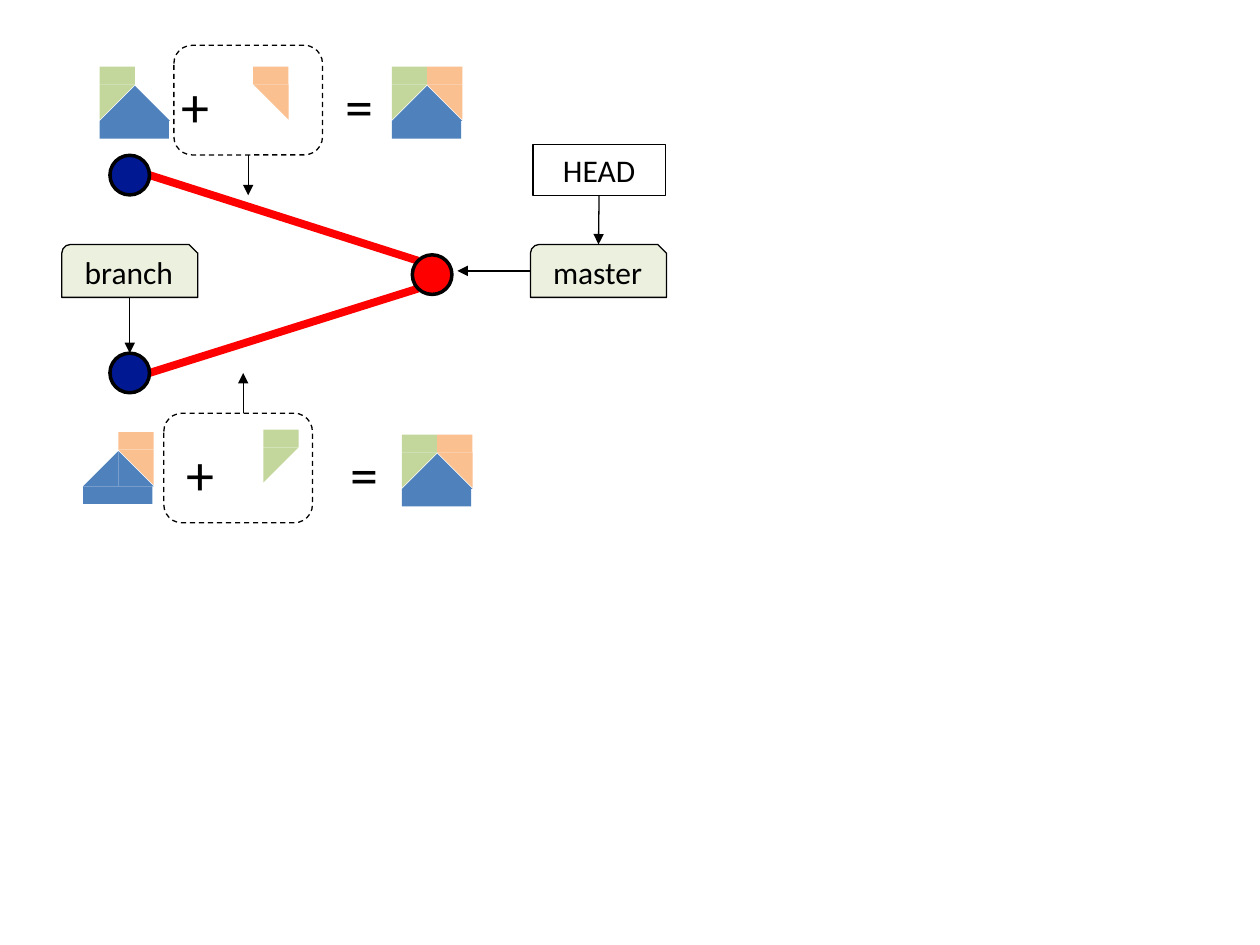
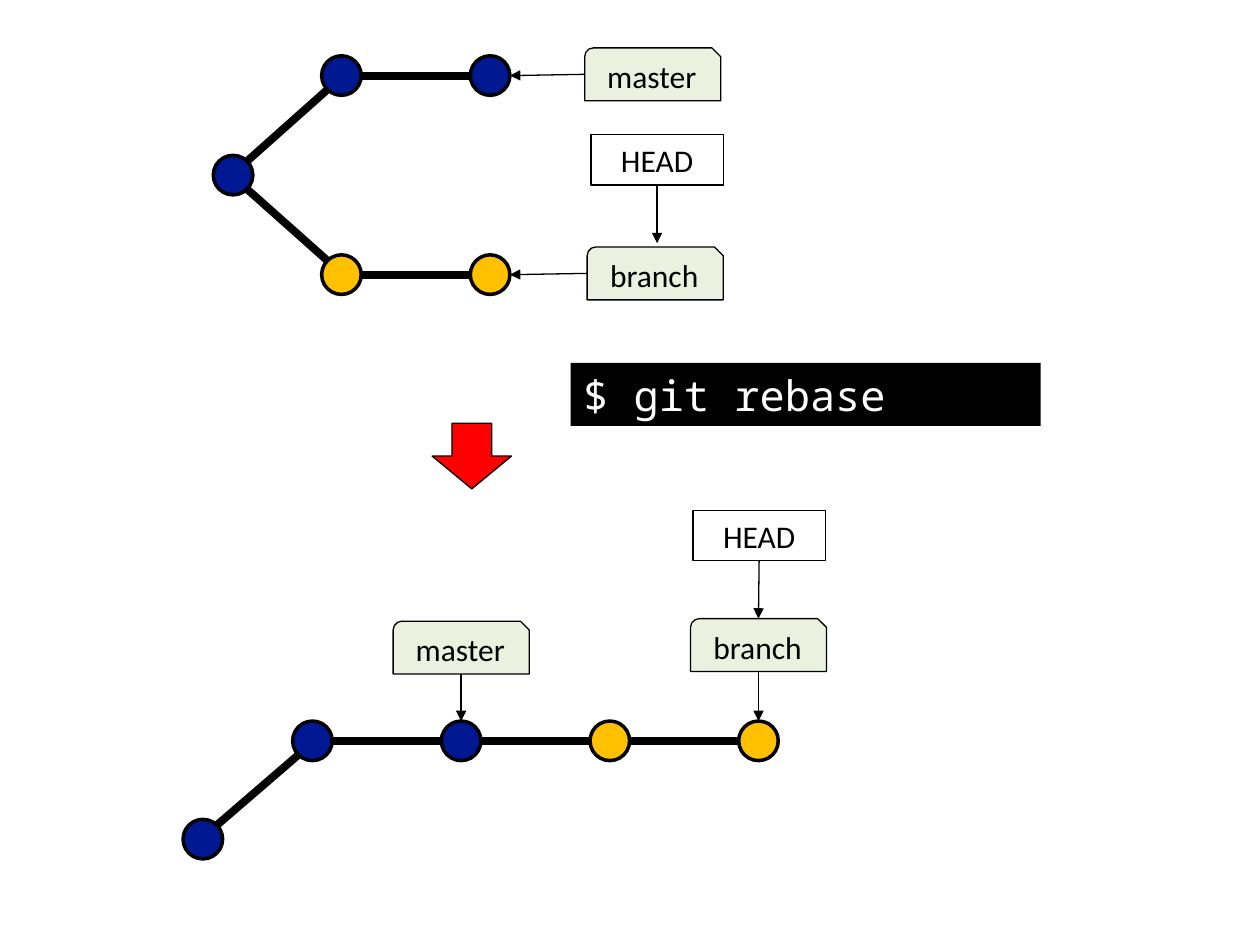
"""Two diagrams of Git history: a merge and a rebase."""
from dataclasses import dataclass

from pptx import Presentation
from pptx.dml.color import RGBColor
from pptx.enum import dml, shapes, text
from pptx.oxml import parse_xml
from pptx.oxml.ns import nsdecls
from pptx.util import Inches, Pt


@dataclass(frozen=True)
class Theme:
    black: str = "000000"
    white: str = "FFFFFF"
    red: str = "FF0000"
    navy: str = "011893"
    amber: str = "FFC000"
    tag: str = "EBF1DE"
    blue: str = "4F81BD"
    green: str = "C3D69B"
    orange: str = "FAC090"
    font: str = "Calibri"
    mono: str = "Noto Sans Mono"
    label_size: float = 18
    command_size: float = 24
    sign_size: float = 32
    thin: float = 0.75
    outline: float = 2
    thick: float = 4.5


THEME = Theme()
KIND = shapes.MSO_SHAPE
TILE = 0.28
STRIP = 0.14
RADIUS = 0.157
DIAGONAL = 0.11
# Where a line may meet a commit, measured from its centre
SITES = {
    "n": (0, -RADIUS), "s": (0, RADIUS), "e": (RADIUS, 0), "w": (-RADIUS, 0),
    "ne": (DIAGONAL, -DIAGONAL), "se": (DIAGONAL, DIAGONAL),
    "nw": (-DIAGONAL, -DIAGONAL), "sw": (-DIAGONAL, DIAGONAL),
}
Point = tuple[float, float]


@dataclass(frozen=True)
class Commit:
    x: float
    y: float
    colour: str = THEME.navy

    def site(self, side: str) -> Point:
        dx, dy = SITES[side]
        return self.x + dx, self.y + dy


@dataclass(frozen=True)
class Label:
    words: str
    left: float
    top: float

    @property
    def is_head(self) -> bool:
        return self.words == "HEAD"

    @property
    def size(self) -> Point:
        return (1.05, 0.4) if self.is_head else (1.08, 0.42)

    @property
    def centre(self) -> float:
        return self.left + self.size[0] / 2

    @property
    def bottom(self) -> Point:
        return self.centre, self.top + self.size[1]

    @property
    def upper(self) -> Point:
        return self.centre, self.top

    @property
    def west(self) -> Point:
        return self.left, self.top + self.size[1] / 2


@dataclass(frozen=True)
class MergeRow:
    """One equation: own work + the other side's change = merged work."""
    start: Point
    start_colour: str
    change: Point
    change_colour: str
    result: Point
    frame: Point
    plus: Point
    equals: Point
    arrow: tuple[Point, Point]


def rgb(colour: str) -> RGBColor:
    return RGBColor.from_string(colour)


def add_shape(parent, kind, left: float, top: float, width: float, height: float,
              fill: str | None = None, line: float = 0, turn: float = 0):
    shape = parent.add_shape(kind, *map(Inches, (left, top, width, height)))
    shape.shadow.inherit = False
    shape.rotation = turn
    if fill:
        shape.fill.solid()
        shape.fill.fore_color.rgb = rgb(fill)
    else:
        shape.fill.background()
    if line:
        shape.line.color.rgb = rgb(THEME.black)
        shape.line.width = Pt(line)
    else:
        shape.line.fill.background()
    return shape


def add_text(box, words: str, size: float, colour: str = THEME.black,
             font: str = THEME.font, align=text.PP_ALIGN.LEFT,
             anchor=text.MSO_ANCHOR.TOP, wrap: bool = False) -> None:
    frame = box.text_frame
    frame.text = words
    frame.word_wrap = wrap
    frame.auto_size = text.MSO_AUTO_SIZE.SHAPE_TO_FIT_TEXT
    frame.vertical_anchor = anchor
    para = frame.paragraphs[0]
    para.alignment = align
    span = para.runs[0]
    span.font.name = font
    span.font.size = Pt(size)
    span.font.color.rgb = rgb(colour)


def add_line(page, start: Point, end: Point, colour: str = THEME.black,
             width: float = THEME.thick, arrow: bool = False) -> None:
    line = page.shapes.add_connector(
        shapes.MSO_CONNECTOR.STRAIGHT, *map(Inches, (*start, *end)))
    line.line.color.rgb = rgb(colour)
    line.line.width = Pt(width)
    if arrow:
        line.line._get_or_add_ln().append(
            parse_xml(f'<a:tailEnd {nsdecls("a")} type="triangle"/>'))
    line._element.spPr.append(parse_xml(f'<a:effectLst {nsdecls("a")}/>'))


def add_arrow(page, start: Point, end: Point) -> None:
    add_line(page, start, end, width=THEME.thin, arrow=True)


def add_commit(page, commit: Commit) -> None:
    add_shape(page.shapes, KIND.OVAL, commit.x - RADIUS, commit.y - RADIUS,
              2 * RADIUS, 2 * RADIUS, commit.colour, THEME.outline)


def add_label(page, label: Label) -> None:
    kind = KIND.RECTANGLE if label.is_head else KIND.SNIP_ROUND_RECTANGLE
    box = add_shape(page.shapes, kind, label.left, label.top, *label.size,
                    None if label.is_head else THEME.tag, THEME.thin)
    add_text(box, label.words, THEME.label_size, align=text.PP_ALIGN.CENTER,
             anchor=text.MSO_ANCHOR.MIDDLE, wrap=True)


def add_sign(page, sign: str, place: Point) -> None:
    box = page.shapes.add_textbox(*map(Inches, (*place, 0.43, 0.64)))
    add_text(box, sign, THEME.sign_size)


def add_flag(page, place: Point, colour: str, turn: float) -> None:
    """A strip with a triangle hanging below it."""
    left, top = place
    add_shape(page.shapes, KIND.RIGHT_TRIANGLE, left, top + STRIP,
              TILE, TILE, colour, turn=turn)
    add_shape(page.shapes, KIND.RECTANGLE, left, top, TILE, STRIP, colour)


def add_tiles(page, place: Point, colours: tuple[str, ...]) -> None:
    """A blue house with the chosen flags at its upper corners."""
    left, top = place
    if THEME.green in colours:
        add_flag(page, place, THEME.green, 90)
    if THEME.orange in colours:
        add_flag(page, (left + TILE, top), THEME.orange, 180)
    house = page.shapes.add_group_shape().shapes
    add_shape(house, KIND.RECTANGLE, left, top + 0.43, 0.55, STRIP, THEME.blue)
    for column, turn in enumerate((270, 0)):
        add_shape(house, KIND.RIGHT_TRIANGLE, left + column * TILE, top + 0.15,
                  TILE, TILE, THEME.blue, turn=turn)


def add_merge_row(page, row: MergeRow) -> None:
    add_tiles(page, row.start, (row.start_colour,))
    add_tiles(page, row.result, (THEME.green, THEME.orange))
    turn = 90 if row.change_colour == THEME.green else 180
    add_flag(page, row.change, row.change_colour, turn)
    add_sign(page, "+", row.plus)
    add_sign(page, "=", row.equals)
    frame = add_shape(page.shapes, KIND.ROUNDED_RECTANGLE, *row.frame,
                      1.18, 0.87, line=THEME.thin)
    frame.line.dash_style = dml.MSO_LINE.DASH
    add_arrow(page, *row.arrow)


def build_merge(page) -> None:
    ours, theirs = Commit(1.03, 1.39), Commit(1.03, 2.96)
    merged = Commit(3.43, 2.18, THEME.red)
    head = Label("HEAD", 4.23, 1.15)
    master = Label("master", 4.21, 1.94)
    branch = Label("branch", 0.49, 1.94)

    # History
    add_line(page, ours.site("e"), merged.site("nw"), THEME.red)
    add_line(page, theirs.site("e"), merged.site("sw"), THEME.red)
    for commit in (ours, theirs, merged):
        add_commit(page, commit)

    # Pointers
    for label in (head, master, branch):
        add_label(page, label)
    add_arrow(page, head.bottom, master.upper)
    add_arrow(page, master.west, (3.63, 2.15))
    add_arrow(page, branch.bottom, theirs.site("n"))

    # Equations above and below the history
    for row in (
        MergeRow((0.79, 0.53), THEME.green, (2.01, 0.53), THEME.orange,
                 (3.11, 0.53), (1.38, 0.36), (1.34, 0.52), (2.64, 0.52),
                 ((1.97, 1.23), (1.97, 1.55))),
        MergeRow((0.66, 3.43), THEME.orange, (2.09, 3.41), THEME.green,
                 (3.19, 3.45), (1.3, 3.28), (1.38, 3.44), (2.68, 3.44),
                 ((1.93, 3.28), (1.93, 2.96))),
    ):
        add_merge_row(page, row)


def add_chain(page, commits: list[Commit]) -> None:
    """Commits side by side, each joined to the next."""
    for commit in commits:
        add_commit(page, commit)
    for older, newer in zip(commits, commits[1:]):
        add_line(page, older.site("e"), newer.site("w"))


def commit_row(left: float, y: float, colours: tuple[str, ...]) -> list[Commit]:
    return [Commit(left + 1.18 * i, y, colour) for i, colour in enumerate(colours)]


def build_rebase(page) -> None:
    old, new = (THEME.navy,) * 2, (THEME.amber,) * 2

    # Before: two lines of work from one root
    root = Commit(1.85, 1.39)
    upper, lower = commit_row(2.71, 0.6, old), commit_row(2.71, 2.18, new)
    add_commit(page, root)
    for chain in (upper, lower):
        add_chain(page, chain)
    add_line(page, root.site("ne"), upper[0].site("sw"))
    add_line(page, root.site("se"), lower[0].site("nw"))
    master, branch = Label("master", 4.64, 0.38), Label("branch", 4.66, 1.96)
    head = Label("HEAD", 4.69, 1.07)
    for label in (master, branch, head):
        add_label(page, label)
    add_arrow(page, master.west, upper[-1].site("e"))
    add_arrow(page, branch.west, lower[-1].site("e"))
    add_arrow(page, head.bottom, (head.centre, 1.93))

    # Command
    command = add_shape(page.shapes, KIND.RECTANGLE, 4.53, 2.88, 3.73, 0.5, THEME.black)
    add_text(command, "$ git rebase", THEME.command_size, THEME.white, THEME.mono,
             wrap=True)
    add_shape(page.shapes, KIND.DOWN_ARROW, 3.43, 3.36, 0.63, 0.52, THEME.red, THEME.thin)

    # After: one straight line of work
    root, chain = Commit(1.61, 6.66), commit_row(2.48, 5.88, old + new)
    add_commit(page, root)
    add_chain(page, chain)
    add_line(page, root.site("ne"), chain[0].site("sw"))
    master, branch = Label("master", 3.12, 4.93), Label("branch", 5.48, 4.91)
    head = Label("HEAD", 5.5, 4.05)
    for label in (master, branch, head):
        add_label(page, label)
    add_arrow(page, master.bottom, chain[1].site("n"))
    add_arrow(page, branch.bottom, chain[3].site("n"))
    add_arrow(page, head.bottom, branch.upper)


deck = Presentation()
deck.slide_width, deck.slide_height = Inches(10), Inches(7.5)
blank = deck.slide_layouts[6]
for build in (build_merge, build_rebase):
    build(deck.slides.add_slide(blank))
deck.save("out.pptx")
